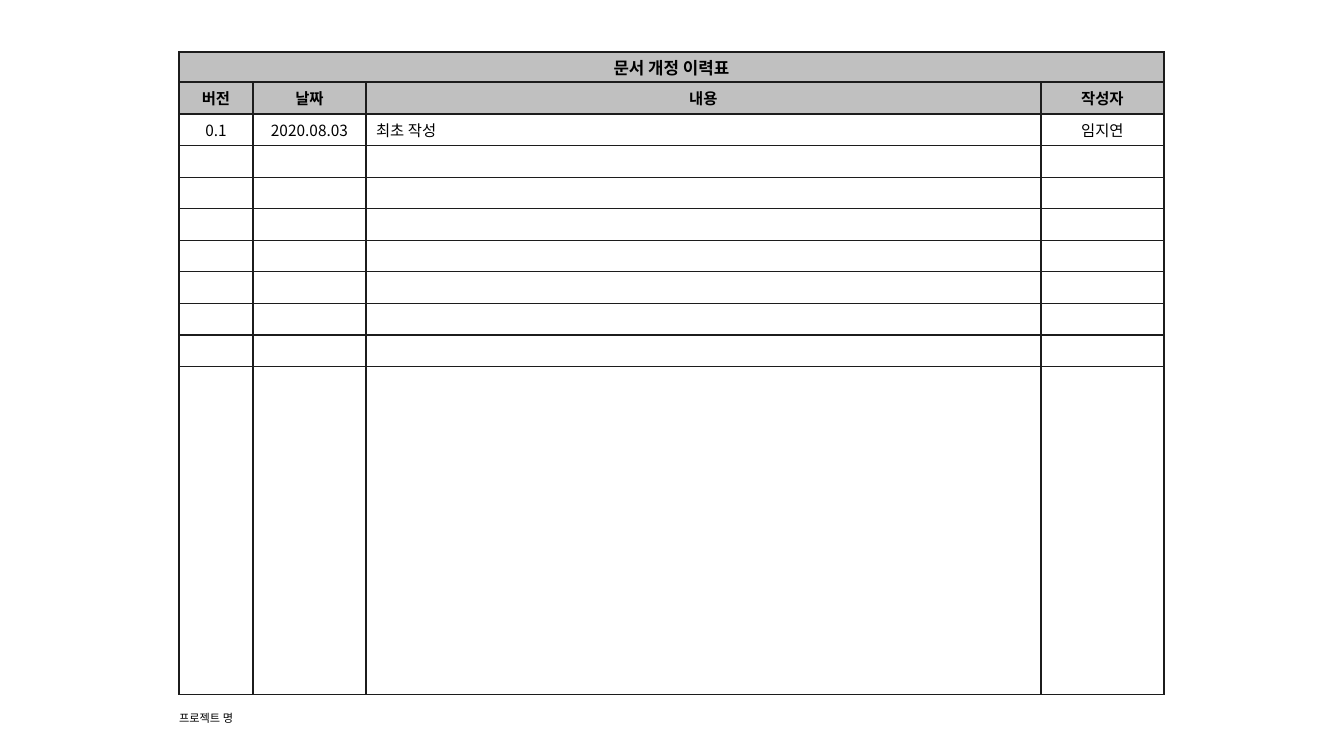
"""Build the document revision history slide."""
from lxml.etree import SubElement
from pptx import Presentation
from pptx.dml.color import RGBColor
from pptx.enum.text import MSO_ANCHOR as Anchor, PP_ALIGN as Align
from pptx.oxml.ns import qn
from pptx.util import Emu, Pt

TITLE = "문서 개정 이력표"
HEADINGS = ("버전", "날짜", "내용", "작성자")
REVISIONS = [("0.1", "2020.08.03", "최초 작성", "임지연")]
FOOTER = "프로젝트 명"

FONT = "Noto Sans CJK KR"
BLACK = RGBColor(0x00, 0x00, 0x00)
GREY = RGBColor(0xC0, 0xC0, 0xC0)
BORDER = RGBColor(0x1C, 0x1C, 0x1C)

LEFT, TOP = 179, 52
COLUMN_WIDTHS = (74, 113, 675, 123)
TITLE_HEIGHT, HEADING_HEIGHT, LAST_HEIGHT = 30, 32, 328
ENTRY_COUNT, ENTRIES_HEIGHT = 8, 253
CONTENT_COLUMN = HEADINGS.index("내용")


def px(length):
    return Emu(round(length * 914400 / 100.8))


def add_span(para, text, size, bold=False):
    span = para.add_run()
    span.text = text
    font = span.font
    font.name, font.size, font.bold = FONT, Pt(size), bold
    font.color.rgb = BLACK
    SubElement(font._element, qn("a:ea"), typeface=FONT)


def add_borders(cell):
    props = cell._tc.get_or_add_tcPr()
    for side in ("lnL", "lnR", "lnT", "lnB"):
        line = SubElement(props, qn(f"a:{side}"), w=str(Pt(1)))
        fill = SubElement(line, qn("a:solidFill"))
        SubElement(fill, qn("a:srgbClr"), val=str(BORDER))


def fill_cell(cell, text, size, header, align):
    add_borders(cell)
    if header:
        cell.fill.solid()
        cell.fill.fore_color.rgb = GREY
    else:
        cell.fill.background()
    cell.vertical_anchor = Anchor.MIDDLE
    cell.margin_top = cell.margin_bottom = 0
    para = cell.text_frame.paragraphs[0]
    para.alignment = align
    if text:
        para.space_before = Pt(size * 0.2)
        add_span(para, text, size, header)
    else:
        SubElement(para._p, qn("a:endParaRPr"), sz=str(size * 100))


deck = Presentation()
deck.slide_width, deck.slide_height = px(1344), px(756)
page = deck.slides.add_slide(deck.slide_layouts[6])

heights = [TITLE_HEIGHT, HEADING_HEIGHT]
heights += [ENTRIES_HEIGHT / ENTRY_COUNT] * ENTRY_COUNT + [LAST_HEIGHT]
blank = ("",) * len(HEADINGS)
records = [(TITLE, "", "", ""), HEADINGS, *REVISIONS]
records += [blank] * (len(heights) - len(records))

frame = page.shapes.add_table(len(heights), len(HEADINGS), px(LEFT), px(TOP),
                              px(sum(COLUMN_WIDTHS)), px(sum(heights)))
history = frame.table
history.first_row = history.horz_banding = False
for column, width in zip(history.columns, COLUMN_WIDTHS):
    column.width = px(width)
for row, height in zip(history.rows, heights):
    row.height = px(height)

for r, record in enumerate(records):
    for c, text in enumerate(record):
        header = r < 2
        align = Align.LEFT if c == CONTENT_COLUMN and not header else Align.CENTER
        fill_cell(history.cell(r, c), text, 12 if r == 0 else 11, header, align)
history.cell(0, 0).merge(history.cell(0, len(HEADINGS) - 1))

box = page.shapes.add_textbox(px(LEFT), px(711), px(358), px(14))
footer = box.text_frame
footer.word_wrap = True
footer.margin_left = footer.margin_right = footer.margin_top = footer.margin_bottom = 0
add_span(footer.paragraphs[0], FOOTER, 8)

deck.save("out.pptx")
